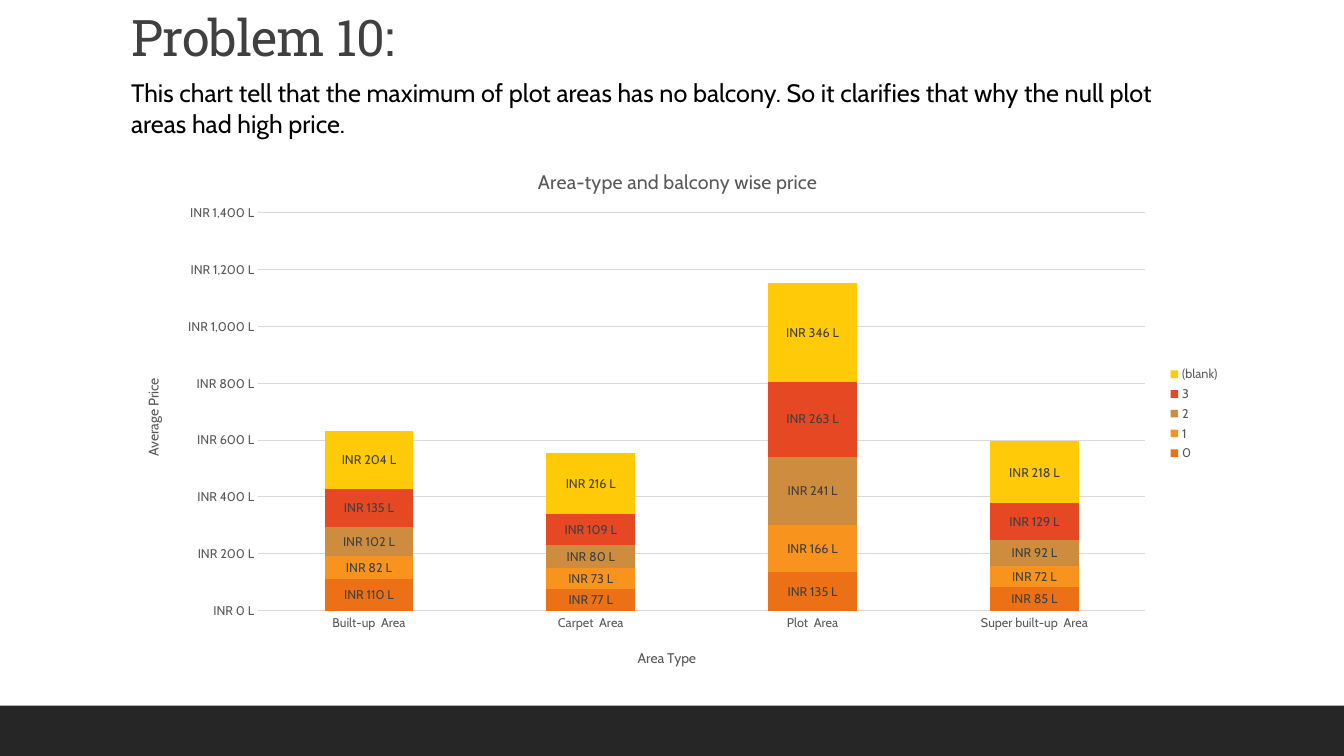
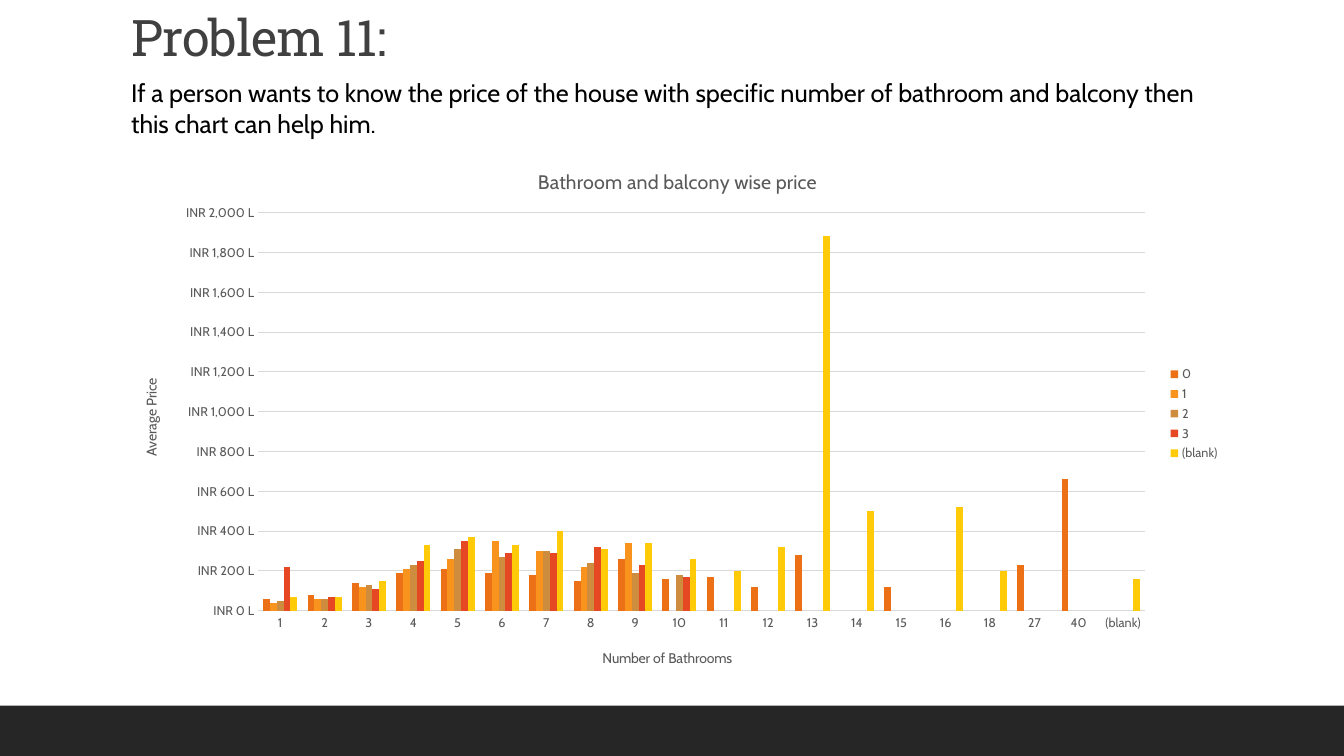
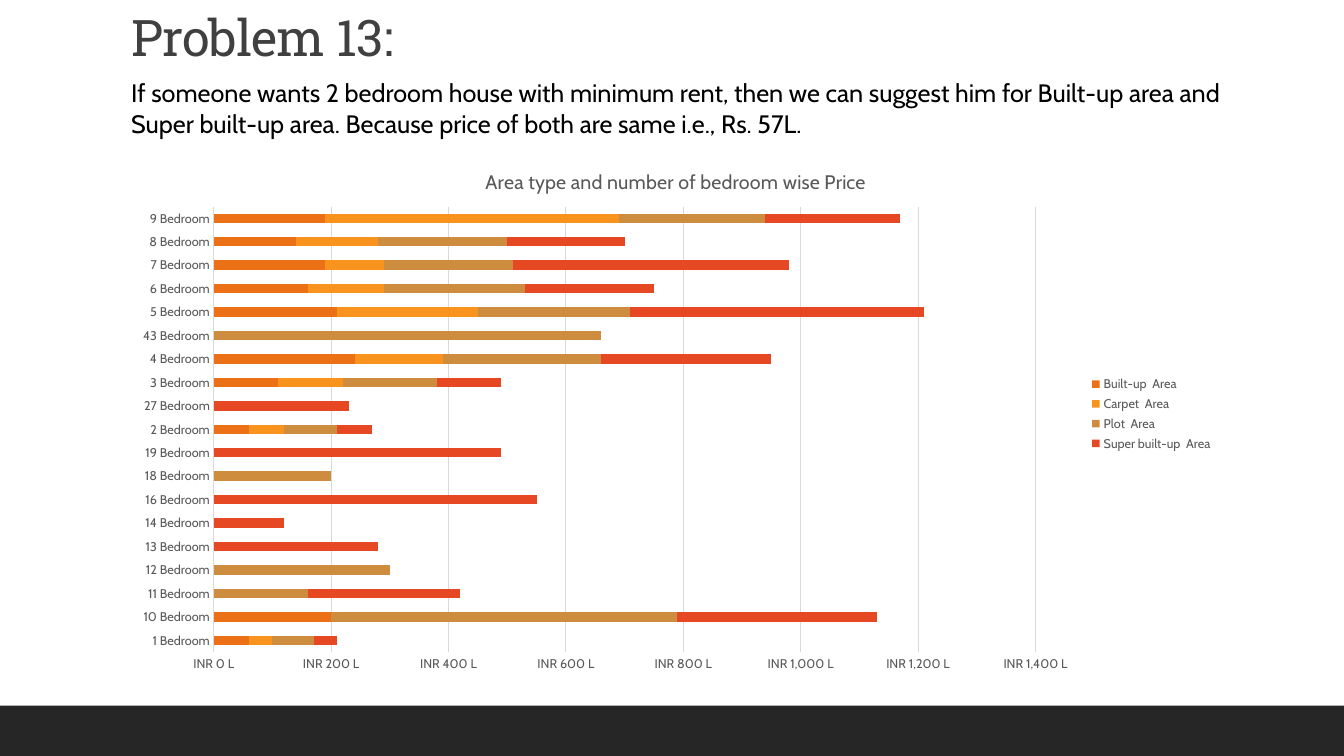
from pptx import Presentation
from pptx.chart.data import CategoryChartData
from pptx.dml.color import RGBColor
from pptx.enum.chart import XL_CHART_TYPE, XL_LABEL_POSITION, XL_LEGEND_POSITION, XL_TICK_MARK
from pptx.enum.shapes import MSO_SHAPE
from pptx.enum.text import MSO_ANCHOR, MSO_AUTO_SIZE, PP_ALIGN
from pptx.oxml import parse_xml
from pptx.oxml.ns import nsdecls, qn
from pptx.util import Inches, Pt

STACKED_COLUMNS = XL_CHART_TYPE.COLUMN_STACKED
GROUPED_COLUMNS = XL_CHART_TYPE.COLUMN_CLUSTERED
STACKED_BARS = XL_CHART_TYPE.BAR_STACKED
LABEL_CENTER = XL_LABEL_POSITION.CENTER
LEGEND_RIGHT = XL_LEGEND_POSITION.RIGHT
NO_TICK = XL_TICK_MARK.NONE
RECTANGLE = MSO_SHAPE.RECTANGLE
MIDDLE, TOP = MSO_ANCHOR.MIDDLE, MSO_ANCHOR.TOP
NO_AUTOFIT = MSO_AUTO_SIZE.NONE
LEFT = PP_ALIGN.LEFT

COLORS = {"band": "262626", "title": "404040", "body": "000000",
          "chart text": "595959", "label": "404040", "grid": "D9D9D9"}
SERIES_COLORS = ["EC7016", "F8931D", "CE8D3E", "E64823", "FFCA08"]
HEADING_FONT, BODY_FONT = "Roboto Slab", "Cabin"
PRICE_FORMAT = r"[$INR]\ #,##0\ \L"
CHART_HEIGHT = 5.35
COLUMN_PLOT = (1.36, 0.68, 8.8, 3.95)
BAR_PLOT = (0.92, 0.62, 8.15, 4.42)
NA = None

# Content; title and plot positions are inches inside the chart
PROBLEMS = [
    {
        "title": "Problem 10:",
        "finding": ["This chart tell that the maximum of plot areas has no balcony. "
                    "So it clarifies that why the null plot",
                    "areas had high price."],
        "type": STACKED_COLUMNS, "width": 11, "plot": COLUMN_PLOT, "max": 1400, "labels": True,
        "chart title": ("Area-type and balcony wise price", 4.1),
        "axis titles": ("Area Type", 5.1, "Average Price"),
        "categories": ["Built-up  Area", "Carpet  Area", "Plot  Area", "Super built-up  Area"],
        "series": {
            "0": [110, 77, 135, 85],
            "1": [82, 73, 166, 72],
            "2": [102, 80, 241, 92],
            "3": [135, 109, 263, 129],
            "(blank)": [204, 216, 346, 218],
        },
    },
    {
        "title": "Problem 11:",
        "finding": ["If a person wants to know the price of the house with specific "
                    "number of bathroom and balcony then",
                    "this chart can help him."],
        "type": GROUPED_COLUMNS, "width": 11, "plot": COLUMN_PLOT, "max": 2000, "labels": False,
        "chart title": ("Bathroom and balcony wise price", 4.1),
        "axis titles": ("Number of Bathrooms", 4.75, "Average Price"),
        "categories": [str(n) for n in range(1, 17)] + ["18", "27", "40", "(blank)"],
        "series": {
            "0": [60, 80, 140, 190, 210, 190, 180, 150, 260, 160,
                  170, 120, 280, NA, 120, NA, NA, 230, 660, NA],
            "1": [40, 60, 120, 210, 260, 350, 300, 220, 340] + [NA] * 11,
            "2": [50, 60, 130, 230, 310, 270, 300, 240, 190, 180] + [NA] * 10,
            "3": [220, 70, 110, 250, 350, 290, 290, 320, 230, 170] + [NA] * 10,
            "(blank)": [70, 70, 150, 330, 370, 330, 400, 310, 340, 260,
                        200, 320, 1880, 500, NA, 520, 200, NA, NA, 160],
        },
    },
    {
        "title": "Problem 13:",
        "finding": ["If someone wants 2 bedroom house with minimum rent, then we can "
                    "suggest him for Built-up area and",
                    "Super built-up area. Because price of both are same i.e., Rs. 57L."],
        "type": STACKED_BARS, "width": 10.93, "plot": BAR_PLOT, "max": 1400, "labels": False,
        "chart title": ("Area type and number of bedroom wise Price", 3.58),
        "axis titles": None,
        "categories": [f"{n} Bedroom" for n in (1, 10, 11, 12, 13, 14, 16, 18, 19, 2,
                                                27, 3, 4, 43, 5, 6, 7, 8, 9)],
        "series": {
            "Built-up  Area": [60, 200, NA, NA, NA, NA, NA, NA, NA, 60,
                               NA, 110, 240, NA, 210, 160, 190, 140, 190],
            "Carpet  Area": [40, NA, NA, NA, NA, NA, NA, NA, NA, 60,
                             NA, 110, 150, NA, 240, 130, 100, 140, 500],
            "Plot  Area": [70, 590, 160, 300, NA, NA, NA, 200, NA, 90,
                           NA, 160, 270, 660, 260, 240, 220, 220, 250],
            "Super built-up  Area": [40, 340, 260, NA, 280, 120, 550, NA, 490, 60,
                                     230, 110, 290, NA, 500, 220, 470, 200, 230],
        },
    },
]


def add_run(paragraph, text, size, color, font=BODY_FONT):
    run = paragraph.add_run()
    run.text = text
    run.font.size = Pt(size)
    run.font.name = font
    run.font.bold = False
    run.font.color.rgb = RGBColor.from_string(COLORS[color])
    return run


def place(part, chart_width, left, top, width=None, height=None):
    """Fix a chart part at a position in inches inside the chart."""
    old = part.find(qn("c:layout"))
    if old is not None:
        part.remove(old)
    fields = '<c:xMode val="edge"/><c:yMode val="edge"/>'
    if width:
        fields = '<c:layoutTarget val="inner"/>' + fields
    sizes = [("x", left, chart_width), ("y", top, CHART_HEIGHT),
             ("w", width, chart_width), ("h", height, CHART_HEIGHT)]
    for name, length, whole in sizes:
        if length is not None:
            fields += f'<c:{name} val="{length / whole:.4f}"/>'
    layout_xml = (f'<c:layout {nsdecls("c")}><c:manualLayout>{fields}'
                  '</c:manualLayout></c:layout>')
    position = 0 if part.find(qn("c:tx")) is None else 1
    part.insert(position, parse_xml(layout_xml))


prs = Presentation()
prs.slide_width, prs.slide_height = Inches(13.33), Inches(7.5)

# Shared layout: title and body positions
layout = prs.slide_layouts[1]
for placeholder, top, width, height in [(layout.placeholders[0], 0.08, 11, 0.64),
                                        (layout.placeholders[1], 0.72, 11.1, 0.71)]:
    placeholder.left, placeholder.top = Inches(1.2), Inches(top)
    placeholder.width, placeholder.height = Inches(width), Inches(height)

for problem in PROBLEMS:
    slide = prs.slides.add_slide(layout)

    # Title
    title_frame = slide.shapes.title.text_frame
    title_frame.vertical_anchor = MIDDLE
    title_frame.auto_size = NO_AUTOFIT
    heading = title_frame.paragraphs[0]
    heading.alignment = LEFT
    heading.line_spacing = 0.9
    heading_run = add_run(heading, problem["title"], 36, "title", HEADING_FONT)
    heading_run.font._element.set("spc", "-50")

    # Finding, one paragraph a line
    finding_frame = slide.placeholders[1].text_frame
    finding_frame.word_wrap = True
    finding_frame.auto_size = NO_AUTOFIT
    finding_frame.vertical_anchor = TOP
    for index, line in enumerate(problem["finding"]):
        paragraph = finding_frame.add_paragraph() if index else finding_frame.paragraphs[0]
        paragraph.space_before = Pt(0)
        properties = paragraph._p.get_or_add_pPr()
        properties.set("marL", "0")
        properties.set("indent", "0")
        properties.append(parse_xml(f'<a:buNone {nsdecls("a")}/>'))
        add_run(paragraph, line, 18, "body")

    # Chart with its series
    prices = CategoryChartData(number_format=PRICE_FORMAT)
    prices.categories = problem["categories"]
    for name, values in problem["series"].items():
        prices.add_series(name, values)
    chart_width = problem["width"]
    chart = slide.shapes.add_chart(problem["type"], Inches(1.2), Inches(1.43),
                                   Inches(chart_width), Inches(CHART_HEIGHT), prices).chart
    chart.font.size = Pt(10)
    chart.font.name = BODY_FONT
    plot = chart.plots[0]
    plot.vary_by_categories = False
    plot.gap_width = 150
    plot.overlap = 0 if problem["type"] == GROUPED_COLUMNS else 100
    for series, color in zip(plot.series, SERIES_COLORS):
        series.format.fill.solid()
        series.format.fill.fore_color.rgb = RGBColor.from_string(color)
    place(chart._chartSpace.chart.plotArea, chart_width, *problem["plot"])

    # Axes and legend
    category_axis, price_axis = chart.category_axis, chart.value_axis
    chart.has_legend = True
    chart.legend.position = LEGEND_RIGHT
    chart.legend.include_in_layout = False
    for axis in (category_axis, price_axis):
        axis.major_tick_mark = axis.minor_tick_mark = NO_TICK
    small_fonts = [(part.font, "chart text") for part in
                   (category_axis.tick_labels, price_axis.tick_labels, chart.legend)]
    price_axis.minimum_scale, price_axis.maximum_scale = 0, problem["max"]
    price_axis.major_unit = 200
    price_axis.tick_labels.number_format = PRICE_FORMAT
    price_axis.tick_labels.number_format_is_linked = False
    price_axis.format.line.fill.background()
    for line in (category_axis.format.line, price_axis.major_gridlines.format.line):
        line.width = Pt(0.75)
        line.color.rgb = RGBColor.from_string(COLORS["grid"])

    # Data labels
    if problem["labels"]:
        plot.has_data_labels = True
        labels = plot.data_labels
        labels.show_value = True
        labels.position = LABEL_CENTER
        labels.number_format = PRICE_FORMAT
        labels.number_format_is_linked = False
        small_fonts.append((labels.font, "label"))
    for font, color in small_fonts:
        font.size = Pt(9)
        font.name = BODY_FONT
        font.color.rgb = RGBColor.from_string(COLORS[color])

    # Chart title and axis titles
    chart_title, title_left = problem["chart title"]
    chart.has_title = True
    add_run(chart.chart_title.text_frame.paragraphs[0], chart_title, 14, "chart text")
    place(chart.chart_title._element, chart_width, title_left, 0.2)
    if problem["axis titles"]:
        category_title, category_left, price_title = problem["axis titles"]
        for axis, text in ((category_axis, category_title), (price_axis, price_title)):
            add_run(axis.axis_title.text_frame.paragraphs[0], text, 10, "chart text")
        place(category_axis.axis_title._element, chart_width, category_left, 4.98)

# Bottom band, moved to the shared layout behind everything
band = prs.slides[0].shapes.add_shape(RECTANGLE, 0, Inches(7), prs.slide_width, Inches(0.5))
band.shadow.inherit = False
band.fill.solid()
band.fill.fore_color.rgb = RGBColor.from_string(COLORS["band"])
band.line.fill.background()
layout.shapes._spTree.insert(2, band._element)

prs.save("out.pptx")
